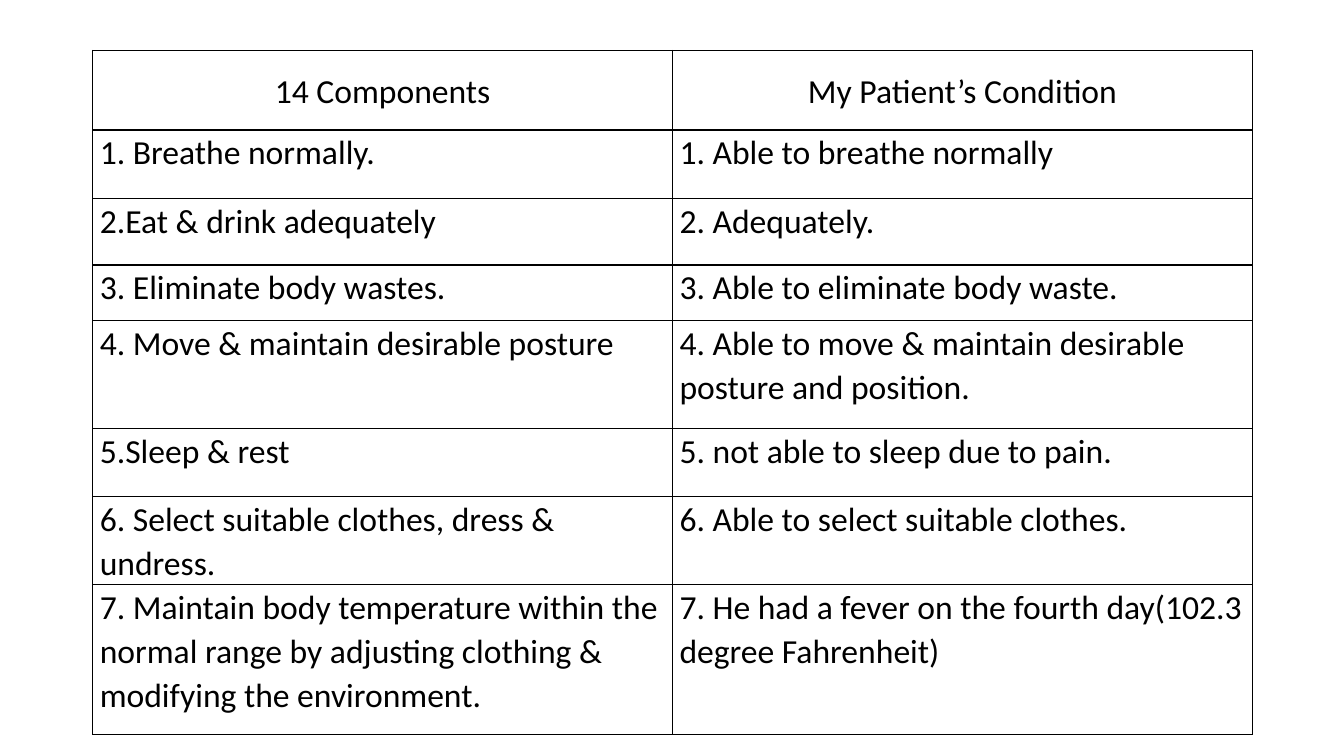
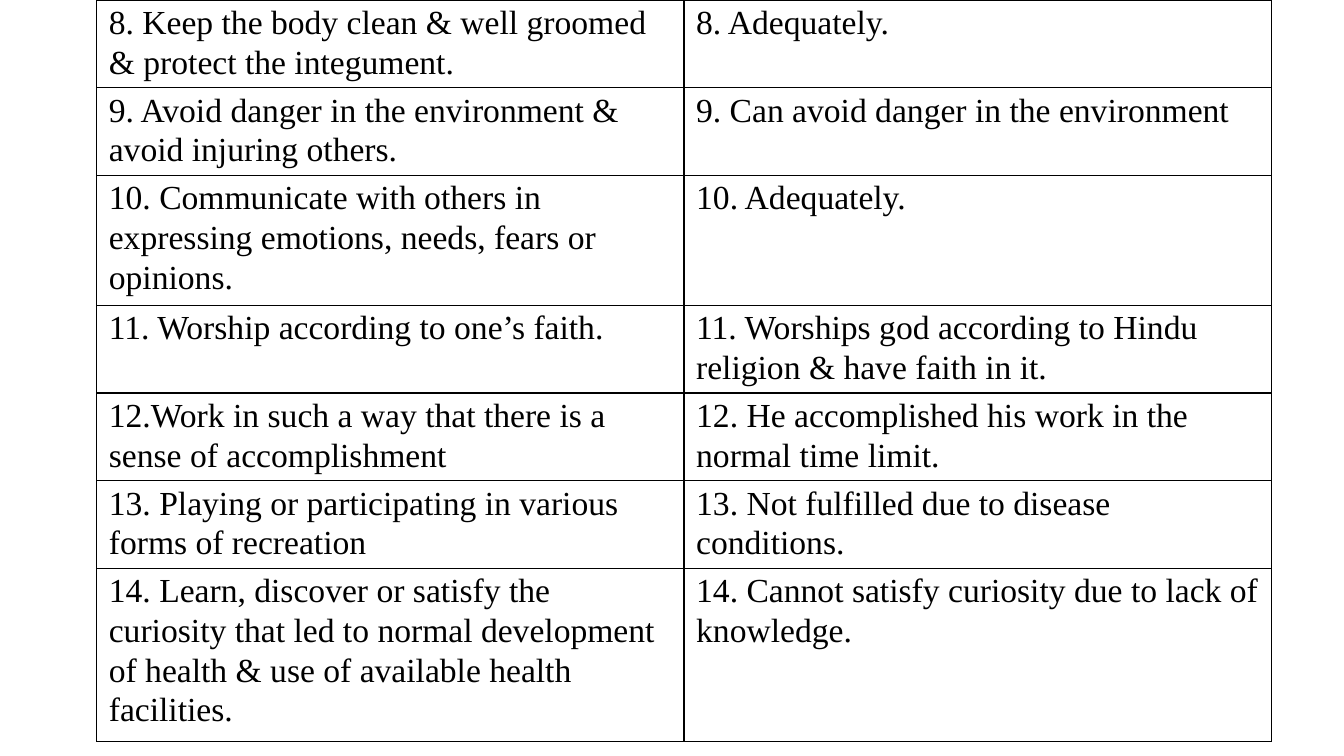
from dataclasses import dataclass
from lxml.etree import SubElement
from pptx import Presentation
from pptx.dml.color import RGBColor
from pptx.enum.text import MSO_ANCHOR, PP_ALIGN
from pptx.oxml.ns import qn
from pptx.util import Inches, Pt

# Content: one row per need, as (component, condition)
HEAD = ("14 Components", "My Patient’s Condition")
FIRST = [
    ("1. Breathe normally.", "1. Able to breathe normally"),
    ("2.Eat & drink adequately", "2. Adequately."),
    ("3. Eliminate body wastes.", "3. Able to eliminate body waste."),
    ("4. Move & maintain desirable posture",
     "4. Able to move & maintain desirable posture and position."),
    ("5.Sleep & rest", "5. not able to sleep due to pain."),
    ("6. Select suitable clothes, dress & undress.",
     "6. Able to select suitable clothes."),
    ("7. Maintain body temperature within the normal range by adjusting "
     "clothing & modifying the environment.",
     "7. He had a fever on the fourth day(102.3 degree Fahrenheit)"),
]
SECOND = [
    ("8. Keep the body clean & well groomed & protect the integument.",
     "8. Adequately."),
    ("9. Avoid danger in the environment & avoid injuring others.",
     "9. Can avoid danger in the environment"),
    ("10. Communicate with others in expressing emotions, needs, fears or "
     "opinions.", "10. Adequately."),
    ("11. Worship according to one’s faith.",
     "11. Worships god according to Hindu religion & have faith in it."),
    ("12.Work in such a way that there is a sense of accomplishment",
     "12. He accomplished his work in the normal time limit."),
    ("13. Playing or participating in various forms of recreation",
     "13. Not fulfilled due to disease conditions."),
    ("14. Learn, discover or satisfy the curiosity that led to normal "
     "development of health & use of available health facilities.",
     "14. Cannot satisfy curiosity due to lack of knowledge."),
]
PAGES = [
    dict(head=HEAD, body=FIRST, left=0.92, top=0.5, width=11.5,
         font="Calibri", side=0.07, over=0,
         rows=[0.79, 0.68, 0.66, 0.55, 1.07, 0.68, 0.87, 1.49]),
    dict(head=None, body=SECOND, left=0.96, top=0, width=11.65,
         font="Times New Roman", side=0.12, over=0.02,
         rows=[0.87, 0.87, 1.29, 0.87, 0.87, 0.87, 1.72]),
]


@dataclass(frozen=True)
class Theme:
    ink: str = "000000"
    size: int = 24
    lead: float = 1.07
    rule: int = 1


THEME = Theme()


def frame(cell):
    """Rule all four sides of a cell and leave it unfilled."""
    props = cell._tc.get_or_add_tcPr()
    for side in ("lnL", "lnR", "lnT", "lnB"):
        line = SubElement(props, qn("a:" + side), w=str(Pt(THEME.rule)))
        fill = SubElement(line, qn("a:solidFill"))
        SubElement(fill, qn("a:srgbClr"), val=THEME.ink)
    cell.fill.background()


def write(cell, text, page, head):
    cell.margin_left = cell.margin_right = Inches(page["side"])
    cell.margin_top, cell.margin_bottom = Inches(page["over"]), 0
    cell.vertical_anchor = MSO_ANCHOR.MIDDLE if head else MSO_ANCHOR.TOP
    para = cell.text_frame.paragraphs[0]
    para.alignment = PP_ALIGN.CENTER if head else PP_ALIGN.LEFT
    para.line_spacing = THEME.lead
    run = para.add_run()
    run.text = text
    font = run.font
    font.name, font.size, font.bold = page["font"], Pt(THEME.size), False
    font.color.rgb = RGBColor.from_string(THEME.ink)


def build(deck, page):
    slide = deck.slides.add_slide(deck.slide_layouts[6])
    head = page["head"]
    lines = ([head] if head else []) + page["body"]
    highs = page["rows"]
    table = slide.shapes.add_table(
        len(lines), 2, Inches(page["left"]), Inches(page["top"]),
        Inches(page["width"]), Inches(sum(highs))).table
    table.first_row = bool(head)
    table.horz_banding = False
    for row, high, texts in zip(table.rows, highs, lines):
        row.height = Inches(high)
        for cell, text in zip(row.cells, texts):
            frame(cell)
            write(cell, text, page, texts is head)


def main():
    deck = Presentation()
    deck.slide_width, deck.slide_height = Inches(13.33), Inches(7.5)
    for page in PAGES:
        build(deck, page)
    deck.save("out.pptx")


if __name__ == "__main__":
    main()
